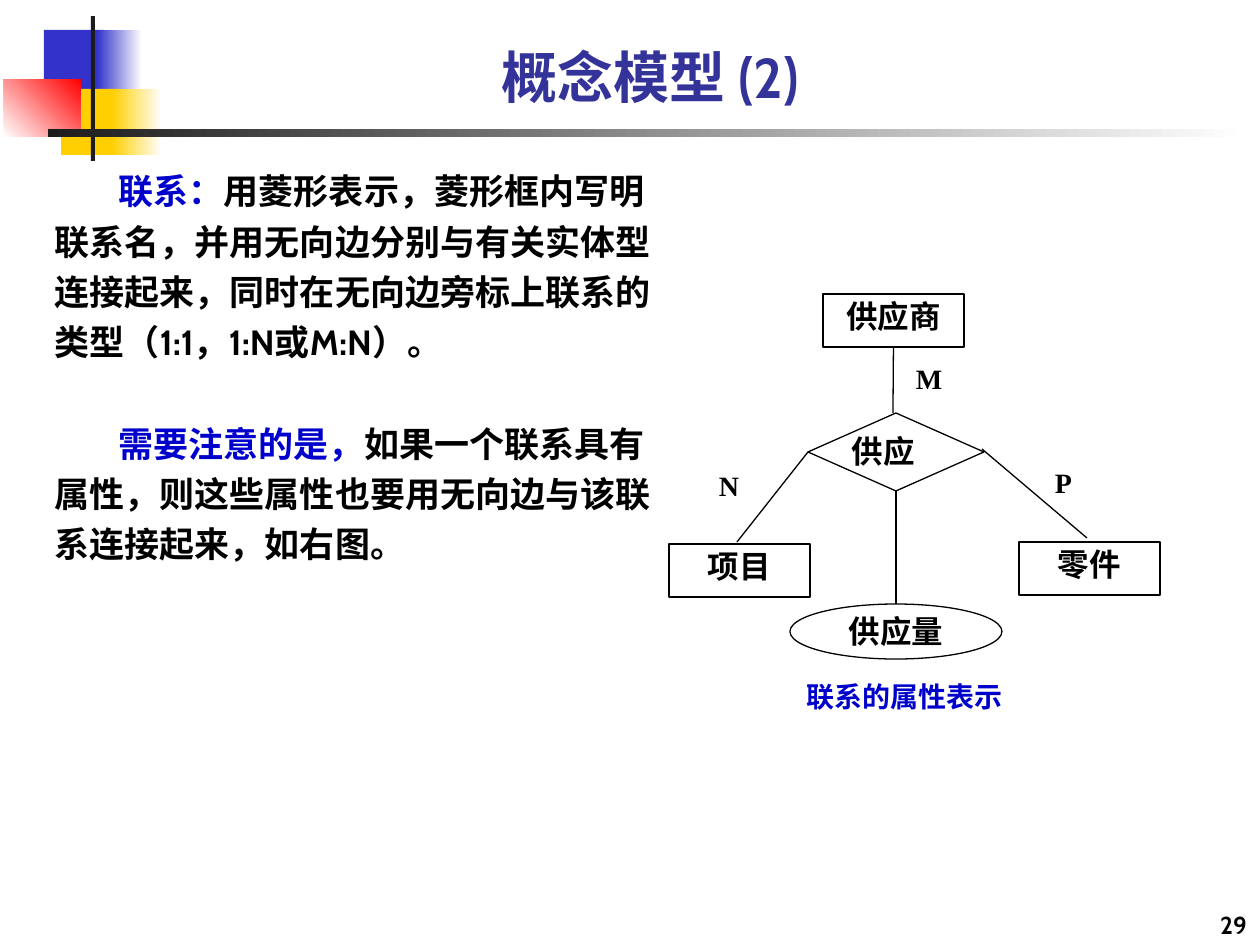
from lxml import etree
from pptx import Presentation
from pptx.dml.color import RGBColor
from pptx.enum.shapes import MSO_CONNECTOR, MSO_SHAPE
from pptx.enum.text import MSO_ANCHOR, MSO_AUTO_SIZE, PP_ALIGN
from pptx.oxml.ns import qn
from pptx.util import Pt

PX = 914400 / 126
RECT, DIAMOND, OVAL = MSO_SHAPE.RECTANGLE, MSO_SHAPE.DIAMOND, MSO_SHAPE.OVAL
LEFT, MID, RIGHT = PP_ALIGN.LEFT, PP_ALIGN.CENTER, PP_ALIGN.RIGHT
TOP, BOTTOM = MSO_ANCHOR.TOP, MSO_ANCHOR.BOTTOM
LINE = MSO_CONNECTOR.STRAIGHT

BLACK = RGBColor(0, 0, 0)
WHITE = RGBColor(255, 255, 255)
BLUE = RGBColor(0x00, 0x00, 0xCC)
NAVY = RGBColor(0x33, 0x33, 0x99)
INDIGO = RGBColor(0x33, 0x33, 0xCC)
GOLD = RGBColor(0xFF, 0xCF, 0x01)
RED = RGBColor(0xFF, 0x00, 0x00)
DARK = RGBColor(0x1C, 0x1C, 0x1C)
SANS, SERIF = "Cabin", "Times New Roman"


def px(*nums):
    return [round(n * PX) for n in nums]


def write(para, runs, size, font, align):
    para.alignment = align
    for text, color in runs:
        run = para.add_run()
        run.text = text
        run.font.size = Pt(size)
        run.font.name = font
        run.font.bold = True
        run.font.color.rgb = color


prs = Presentation()
prs.slide_width, prs.slide_height = px(1260, 945)
slide = prs.slides.add_slide(prs.slide_layouts[1])
shapes = slide.shapes

# Corner blocks and rules: place, first colour, last colour, angle
decor = [
    ((44, 30, 60, 66), INDIGO, None, 0),
    ((97, 30, 45, 66), INDIGO, WHITE, 0),
    ((61, 89, 58, 66), GOLD, None, 0),
    ((112, 89, 50, 66), GOLD, WHITE, 0),
    ((4, 79, 77, 58), WHITE, RED, 45),
    ((91, 16, 4, 145), DARK, None, 0),
    ((48, 129, 1198, 8), DARK, WHITE, 0),
]
for place, first, last, angle in decor:
    block = shapes.add_shape(RECT, *px(*place))
    block.shadow.inherit = False
    block.line.fill.background()
    if last is None:
        block.fill.solid()
        block.fill.fore_color.rgb = first
    else:
        block.fill.gradient()
        block.fill.gradient_angle = angle
        for stop, color in zip(block.fill.gradient_stops, (first, last)):
            stop.color.rgb = color

# Title
title = shapes.title
title.left, title.top, title.width, title.height = px(113, 6, 1074, 110)
title.text_frame.vertical_anchor = BOTTOM
title.text_frame.auto_size = MSO_AUTO_SIZE.NONE
write(title.text_frame.paragraphs[0], [("概念模型 (2)", NAVY)], 32, SANS, MID)

# Body text
body = slide.placeholders[1]
body.left, body.top, body.width, body.height = px(42, 155, 648, 496)
frame = body.text_frame
frame.auto_size = MSO_AUTO_SIZE.NONE
notes = [
    ("联系：", "用菱形表示，菱形框内写明联系名，并用无向边分别与有关实体型"
     "连接起来，同时在无向边旁标上联系的类型（1:1，1:N或M:N）。"),
    ("需要注意的是，", "如果一个联系具有属性，则这些属性也要用无向边与该联系"
     "连接起来，如右图。"),
]
for i, (lead, rest) in enumerate(notes):
    para = frame.add_paragraph() if i else frame.paragraphs[0]
    props = para._p.get_or_add_pPr()
    props.set("marL", "0")
    props.set("indent", str(px(64)[0]))
    etree.SubElement(props, qn("a:buNone"))
    para.line_spacing = 1.2
    para.space_before = Pt(29 if i else 0)
    write(para, [(lead, BLUE), (rest, BLACK)], 20, SANS, LEFT)

# Diagram nodes: kind, place, text, fill, alignment, top inset
nodes = [
    (RECT, (823, 294, 141, 53), "供应商", None, MID, 3),
    (DIAMOND, (808, 413, 176, 78), "供应", WHITE, LEFT, 0),
    (RECT, (669, 544, 141, 53), "项目", None, MID, 3),
    (RECT, (1019, 542, 141, 53), "零件", None, MID, 3),
    (OVAL, (790, 604, 212, 55), "供应量", WHITE, MID, 0),
]
made = {}
for kind, place, text, fill, align, inset in nodes:
    node = shapes.add_shape(kind, *px(*place))
    node.shadow.inherit = False
    node.line.color.rgb = BLACK
    node.line.width = Pt(0.75)
    if fill is None:
        node.fill.background()
    else:
        node.fill.solid()
        node.fill.fore_color.rgb = fill
    frame = node.text_frame
    frame.vertical_anchor = TOP
    frame.margin_left = frame.margin_right = frame.margin_bottom = 0
    frame.margin_top = px(inset)[0]
    write(frame.paragraphs[0], [(text, BLACK)], 18, SERIF, align)
    made[text] = node

# Edges: ends, then the joined node and side at each end
edges = [
    ((893, 347, 893, 413), ("供应商", 2), None),
    ((808, 452, 737, 542), ("供应", 1), None),
    ((982, 449, 1087, 538), None, None),
    ((896, 491, 896, 604), ("供应", 2), ("供应量", 0)),
]
for ends, start, stop in edges:
    edge = shapes.add_connector(LINE, *px(*ends))
    edge.line.color.rgb = BLACK
    edge.line.width = Pt(0.75)
    etree.SubElement(edge._element.spPr, qn("a:effectLst"))
    if start:
        edge.begin_connect(made[start[0]], start[1])
    if stop:
        edge.end_connect(made[stop[0]], stop[1])

# Labels, caption and page number
labels = [
    ((916, 362, 35, 55), "M", 16, SERIF, BLACK, LEFT, TOP, 0, 0),
    ((719, 469, 35, 55), "N", 16, SERIF, BLACK, LEFT, TOP, 0, 0),
    ((1055, 466, 35, 55), "P", 16, SERIF, BLACK, LEFT, TOP, 0, 0),
    ((737, 674, 388, 67), "联系的属性表示", 16, SERIF, BLUE, LEFT, TOP, 13, 57),
    ((998, 882, 262, 63), "29", 14, SANS, BLACK, RIGHT, BOTTOM, 13, 0),
]
for place, text, size, font, color, align, anchor, inset, indent in labels:
    frame = shapes.add_textbox(*px(*place)).text_frame
    frame.word_wrap = True
    frame.vertical_anchor = anchor
    frame.margin_left = frame.margin_right = px(inset)[0]
    frame.margin_top = frame.margin_bottom = px(inset // 2)[0]
    para = frame.paragraphs[0]
    if indent:
        para._p.get_or_add_pPr().set("marL", str(px(indent)[0]))
    write(para, [(text, color)], size, font, align)

prs.save("out.pptx")
